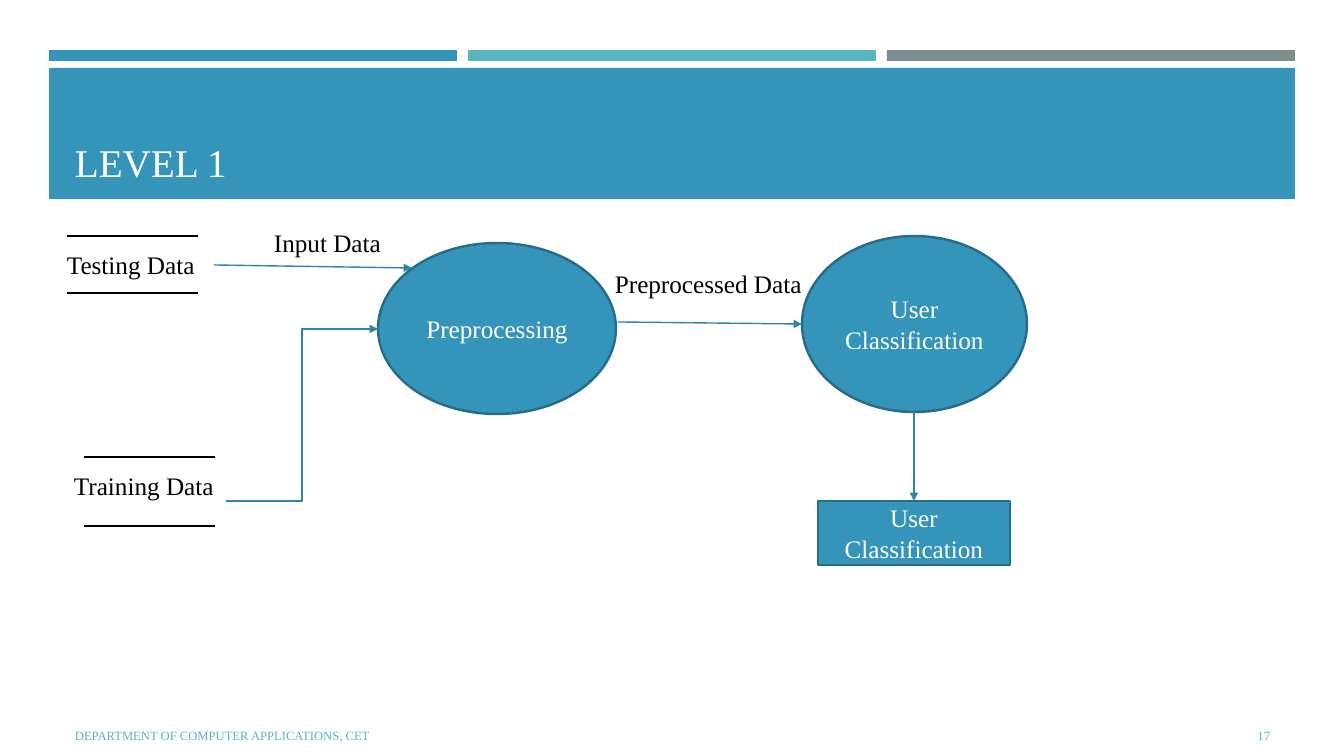
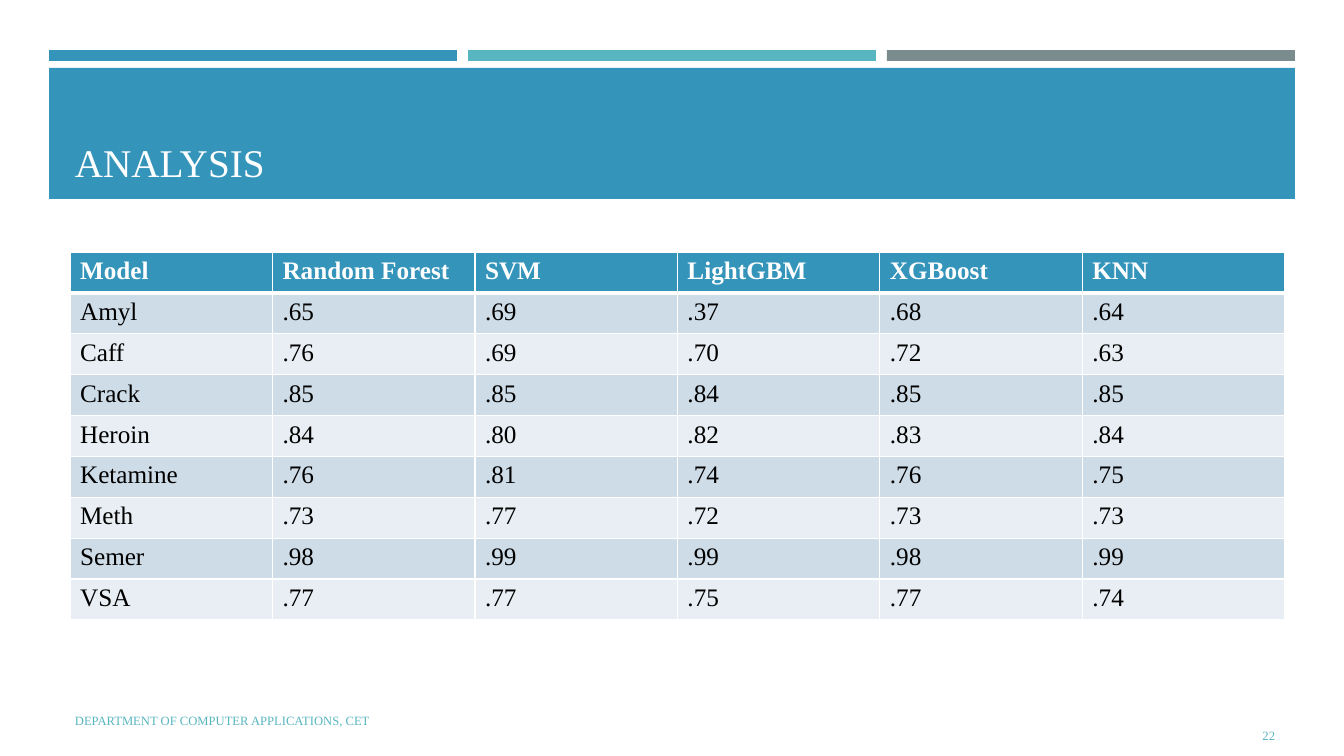
from lxml import etree
from pptx import Presentation
from pptx.dml.color import RGBColor
from pptx.enum.shapes import MSO_CONNECTOR, MSO_SHAPE
from pptx.enum.text import MSO_ANCHOR, PP_ALIGN
from pptx.oxml.ns import qn
from pptx.util import Emu, Pt

RECT, OVAL = MSO_SHAPE.RECTANGLE, MSO_SHAPE.OVAL
STRAIGHT, ELBOW = MSO_CONNECTOR.STRAIGHT, MSO_CONNECTOR.ELBOW
LEFT, CENTER, RIGHT = PP_ALIGN.LEFT, PP_ALIGN.CENTER, PP_ALIGN.RIGHT
TOP, MIDDLE, BOTTOM = MSO_ANCHOR.TOP, MSO_ANCHOR.MIDDLE, MSO_ANCHOR.BOTTOM

BLUE = RGBColor(0x34, 0x94, 0xBA)
TEAL = RGBColor(0x58, 0xB6, 0xC0)
GREY = RGBColor(0x7A, 0x8C, 0x8E)
OUTLINE = RGBColor(0x26, 0x6D, 0x8A)
ARROW = RGBColor(0x2F, 0x85, 0xA7)
ROW_DARK = RGBColor(0xCE, 0xDC, 0xE7)
ROW_LIGHT = RGBColor(0xE8, 0xEE, 0xF3)
WHITE = RGBColor(0xFF, 0xFF, 0xFF)
BLACK = RGBColor(0, 0, 0)

FONT = "Times New Roman"
SCALE = 914400 / 100.8


def px(*values):
    return [Emu(round(v * SCALE)) for v in values]


def write(tf, text, size=18, color=BLACK, bold=False, align=LEFT, anchor=TOP, wrap=True):
    tf.word_wrap = wrap
    tf.vertical_anchor = anchor
    p = tf.paragraphs[0]
    p.alignment = align
    r = p.add_run()
    r.text = text
    r.font.name = FONT
    r.font.size = Pt(size)
    r.font.bold = bold
    r.font.color.rgb = color


prs = Presentation()
prs.slide_width, prs.slide_height = px(1344, 756)

slides = []
for title, number, footer_y, number_x in [
    ("LEVEL 1", "17", 716, 1164),
    ("ANALYSIS", "22", 700, 1169),
]:
    s = prs.slides.add_slide(prs.slide_layouts[6])
    slides.append(s)
    bands = [(49 + 419 * i, 50, 408, 11, c) for i, c in enumerate([BLUE, TEAL, GREY])]
    for x, y, w, h, color in bands + [(49, 68, 1246, 131, BLUE)]:
        sp = s.shapes.add_shape(RECT, *px(x, y, w, h))
        sp.shadow.inherit = False
        sp.fill.solid()
        sp.fill.fore_color.rgb = color
        sp.line.fill.background()
    tb = s.shapes.add_textbox(*px(65, 78, 1216, 112))
    write(tb.text_frame, title, size=28, color=WHITE, anchor=BOTTOM)
    tb = s.shapes.add_textbox(*px(65, footer_y, 762, 40))
    write(tb.text_frame, "DEPARTMENT OF COMPUTER APPLICATIONS, CET", size=9, color=TEAL, anchor=MIDDLE)
    tb = s.shapes.add_textbox(*px(number_x, 716, 116, 40))
    write(tb.text_frame, number, size=9, color=TEAL, align=RIGHT, anchor=MIDDLE)

diagram, analysis = slides

for kind, text, x, y, w, h in [
    (OVAL, "Preprocessing", 378, 243, 238, 171),
    (OVAL, "User Classification", 802, 236, 225, 176),
    (RECT, "User Classification", 818, 501, 192, 64),
]:
    sp = diagram.shapes.add_shape(kind, *px(x, y, w, h))
    sp.shadow.inherit = False
    sp.fill.solid()
    sp.fill.fore_color.rgb = BLUE
    sp.line.color.rgb = OUTLINE
    sp.line.width = Pt(1.75)
    write(sp.text_frame, text, color=WHITE, align=CENTER, anchor=MIDDLE)
result_box = sp

for text, x, y, w in [
    ("Input Data", 264, 222, 128),
    ("Preprocessed Data", 605, 263, 209),
    ("Testing Data", 57, 244, 149),
    ("Training Data", 64, 465, 161),
]:
    tb = diagram.shapes.add_textbox(*px(x, y, w, 40))
    write(tb.text_frame, text, wrap=False)

for kind, x1, y1, x2, y2, target in [
    (STRAIGHT, 214, 265, 412, 268, None),
    (STRAIGHT, 618, 322, 802, 324, None),
    (STRAIGHT, 914, 412, 914, 501, result_box),
    (ELBOW, 226, 501, 378, 329, None),
    (STRAIGHT, 67, 236, 198, 236, None),
    (STRAIGHT, 67, 293, 198, 293, None),
    (STRAIGHT, 84, 457, 215, 457, None),
    (STRAIGHT, 84, 526, 215, 526, None),
]:
    line = diagram.shapes.add_connector(kind, *px(x1, y1, x2, y2))
    is_arrow = x2 > 215
    line.line.color.rgb = ARROW if is_arrow else BLACK
    line.line.width = Pt(1 if is_arrow else 1.75)
    if is_arrow:
        etree.SubElement(line.line._get_or_add_ln(), qn("a:tailEnd"), type="triangle")
    etree.SubElement(line._element.spPr, qn("a:effectLst"))
    if target is not None:
        line.end_connect(target, 0)

rows = [
    ["Model", "Random Forest", "SVM", "LightGBM", "XGBoost", "KNN"],
    ["Amyl", ".65", ".69", ".37", ".68", ".64"],
    ["Caff", ".76", ".69", ".70", ".72", ".63"],
    ["Crack", ".85", ".85", ".84", ".85", ".85"],
    ["Heroin", ".84", ".80", ".82", ".83", ".84"],
    ["Ketamine", ".76", ".81", ".74", ".76", ".75"],
    ["Meth", ".73", ".77", ".72", ".73", ".73"],
    ["Semer", ".98", ".99", ".99", ".98", ".99"],
    ["VSA", ".77", ".77", ".75", ".77", ".74"],
]
table = analysis.shapes.add_table(len(rows), len(rows[0]), *px(70, 252, 1215, 368)).table
for i, row in enumerate(rows):
    header = i == 0
    for j, text in enumerate(row):
        cell = table.cell(i, j)
        write(cell.text_frame, text, color=WHITE if header else BLACK, bold=header)
        tc_pr = cell._tc.get_or_add_tcPr()
        for side in "LRTB":
            thick = (i, side) in [(0, "B"), (1, "T")]
            ln = etree.SubElement(tc_pr, qn(f"a:ln{side}"), w=str(Pt(3 if thick else 1)))
            fill = etree.SubElement(ln, qn("a:solidFill"))
            etree.SubElement(fill, qn("a:srgbClr"), val=str(WHITE))
        cell.fill.solid()
        cell.fill.fore_color.rgb = BLUE if header else ROW_DARK if i % 2 else ROW_LIGHT

prs.save("out.pptx")
